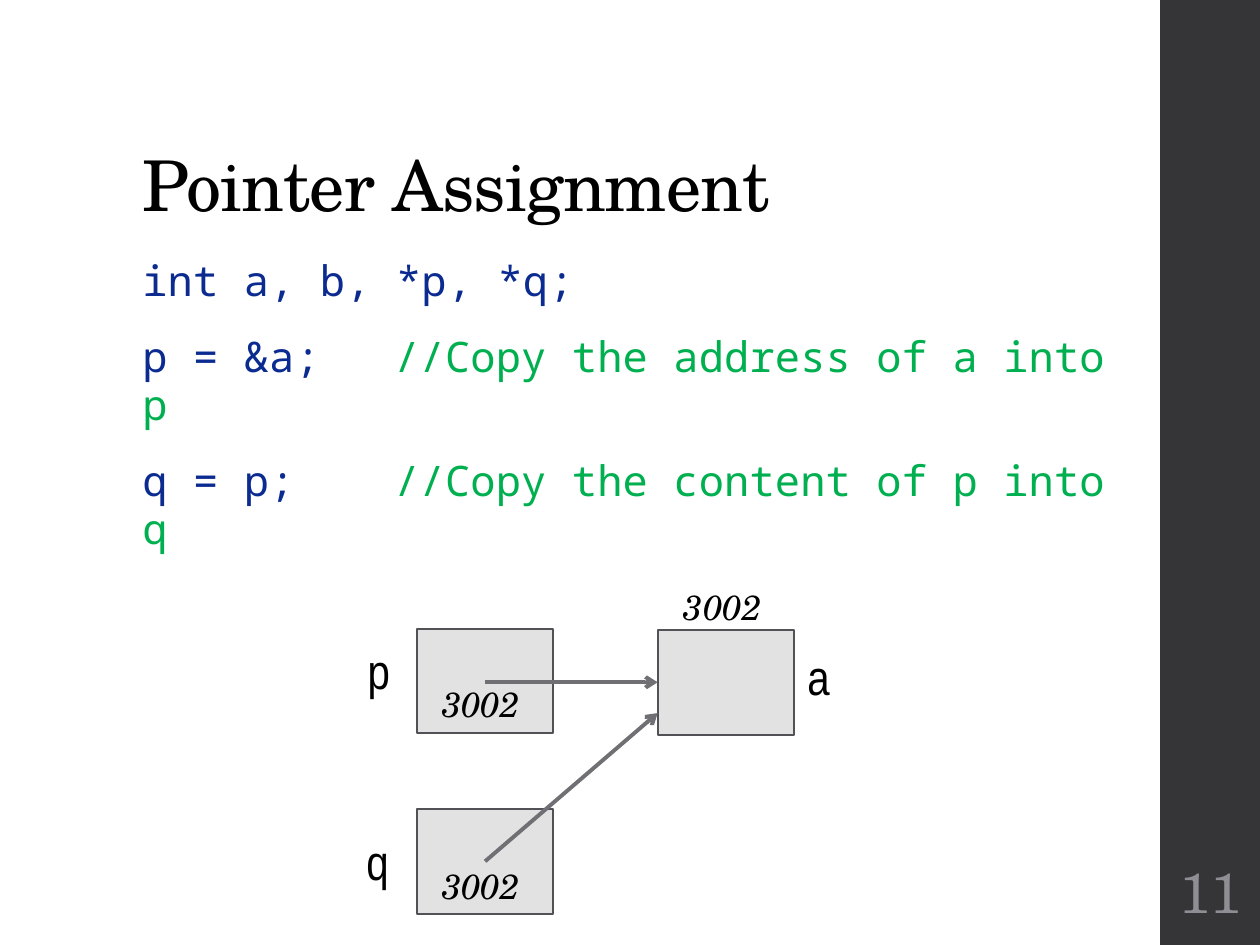
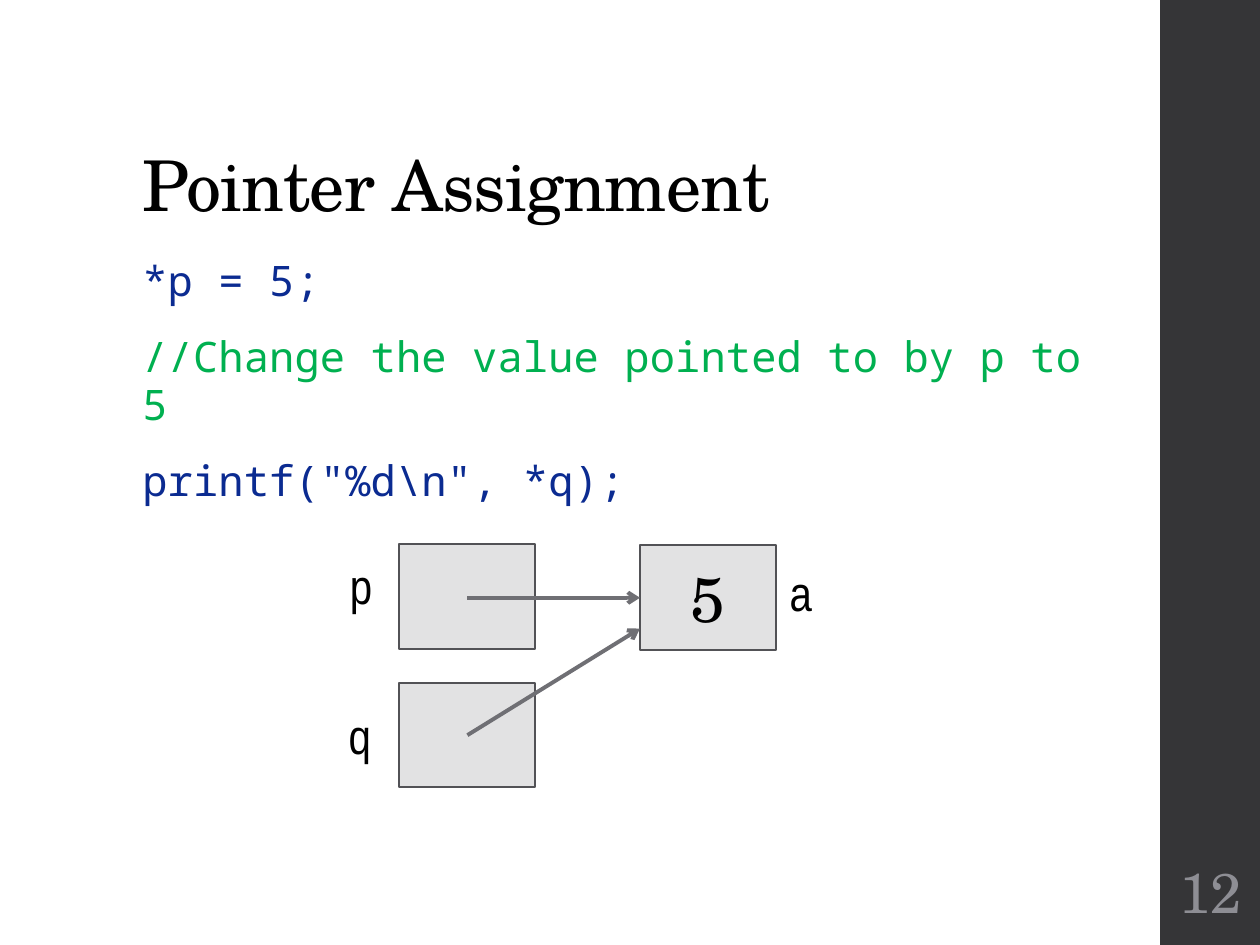
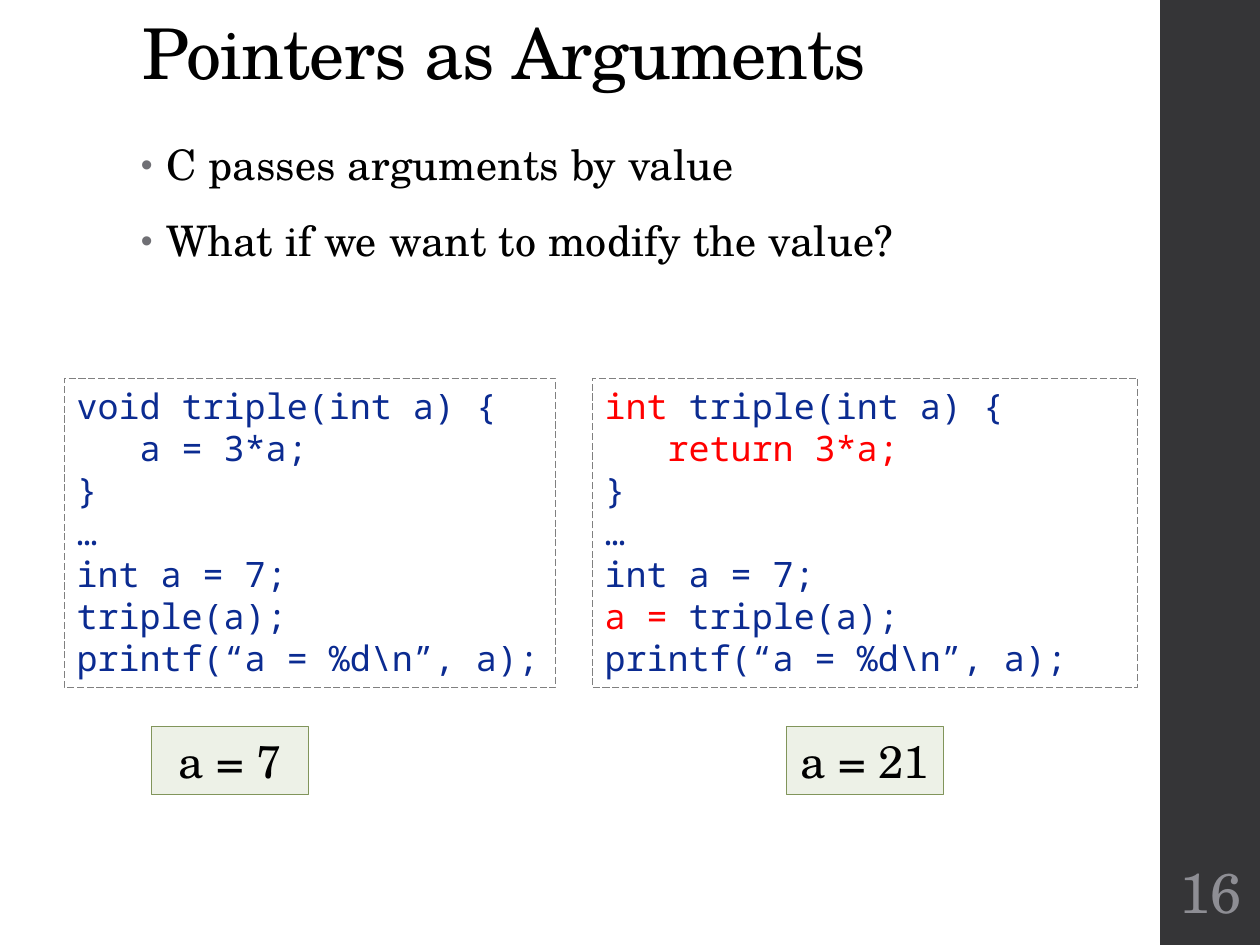
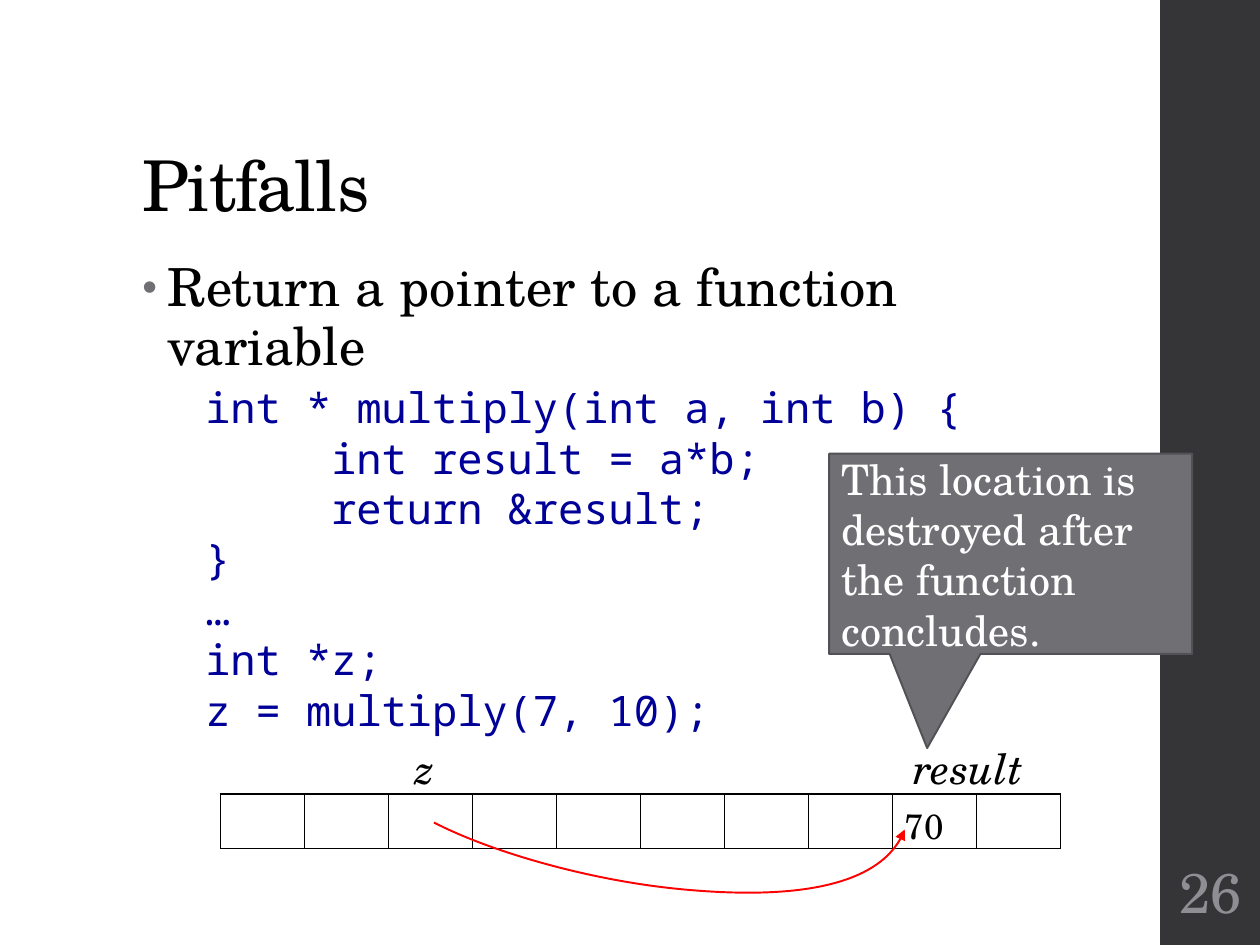
from dataclasses import dataclass, replace
from typing import Optional

from lxml import etree
from pptx import Presentation
from pptx.dml.color import RGBColor
from pptx.enum import dml, shapes, text
from pptx.oxml import ns
from pptx.util import Pt

HUES = {
    "black": "000000", "white": "FFFFFF", "band": "353537", "number": "8E8E94",
    "code": "0B2B91", "navy": "000099", "note": "00B050", "red": "FF0000",
    "box": "E2E2E3", "edge": "525256", "arrow": "6F6F74", "dash": "808080",
    "pale": "EDF1E7", "olive": "81955B",
}
SERIF, MONO, NARROW = "TeX Gyre Schola", "Noto Sans Mono", "Arial Narrow"
LEFT, CENTER = text.PP_ALIGN.LEFT, text.PP_ALIGN.CENTER
TOP, MIDDLE, BOTTOM = (text.MSO_ANCHOR.TOP, text.MSO_ANCHOR.MIDDLE,
                       text.MSO_ANCHOR.BOTTOM)


@dataclass(frozen=True)
class Area:
    x: float
    y: float
    w: float
    h: float

    def lengths(self) -> tuple:
        return Pt(self.x), Pt(self.y), Pt(self.w), Pt(self.h)


@dataclass(frozen=True)
class Style:
    font: str
    size: float
    hue: str = "black"
    italic: bool = False
    track: int = 0              # hundredths of a point
    align: int = LEFT
    line: Optional[float] = None
    before: float = 0
    after: float = 0
    bullet: bool = False
    tab: float = 0


@dataclass(frozen=True)
class Look:
    fill: Optional[str] = None
    line: Optional[str] = None
    width: float = 1.1
    dashed: bool = False


TITLE = Style(SERIF, 40, track=-50, line=0.9)
BODY = Style(MONO, 24, "code", track=10, line=0.95, before=14, after=2, tab=144)
LIST = replace(BODY, font=SERIF, hue="black", bullet=True, tab=0)
NUMBER = Style(SERIF, 32, "number", align=CENTER)
LABEL = Style(NARROW, 28)
ADDRESS = Style(SERIF, 20, italic=True)
VALUE = Style(SERIF, 36, align=CENTER)
CODE = Style(MONO, 20, "code", tab=36)
OUTPUT = Style(SERIF, 26, align=CENTER)
NAME = Style(SERIF, 24, italic=True)

CELL = Look("box", "edge")
LISTING = Look(None, "dash", 0.5, True)
RESULT = Look("pale", "olive", 0.75)


# Text: a paragraph is a string, or a list of strings and (string, hue) pairs

def color(hue: str) -> RGBColor:
    return RGBColor.from_string(HUES[hue])


def add(parent, tag: str, **attrs):
    node = etree.SubElement(parent, ns.qn(tag))
    for key, val in attrs.items():
        node.set(key, str(val))
    return node


def write(frame, paras: list, style: Style, anchor=TOP, grow: bool = False) -> None:
    frame.word_wrap = True
    frame.vertical_anchor = anchor
    frame.auto_size = (text.MSO_AUTO_SIZE.SHAPE_TO_FIT_TEXT if grow
                       else text.MSO_AUTO_SIZE.NONE)
    for i, parts in enumerate(paras):
        para = frame.add_paragraph() if i else frame.paragraphs[0]
        format_para(para, style)
        for part in [parts] if isinstance(parts, str) else parts:
            words, hue = (part, style.hue) if isinstance(part, str) else part
            run = para.add_run()
            run.text = words
            format_run(run, style, hue)


def format_para(para, style: Style) -> None:
    para.alignment = style.align
    para.space_before, para.space_after = Pt(style.before), Pt(style.after)
    if style.line:
        para.line_spacing = style.line
    props = para._p.get_or_add_pPr()
    if style.bullet:
        props.set("marL", str(Pt(14.4)))
        props.set("indent", str(-Pt(14.4)))
        add(add(props, "a:buClr"), "a:srgbClr", val=HUES["arrow"])
        add(props, "a:buSzPct", val=80000)
        add(props, "a:buFont", typeface="Arial")
        add(props, "a:buChar", char="•")
    if style.tab:
        add(add(props, "a:tabLst"), "a:tab", pos=Pt(style.tab), algn="l")


def format_run(run, style: Style, hue: str) -> None:
    font = run.font
    font.name, font.size, font.italic = style.font, Pt(style.size), style.italic
    font.color.rgb = color(hue)
    if style.track:
        run._r.get_or_add_rPr().set("spc", str(style.track))


def label(slide, area: Area, paras: list, style: Style, anchor=TOP,
          grow: bool = True):
    box = slide.shapes.add_textbox(*area.lengths())
    write(box.text_frame, paras, style, anchor, grow)
    return box


# Shapes and lines

def paint(shape, look: Look) -> None:
    shape.shadow.inherit = False
    if look.fill:
        shape.fill.solid()
        shape.fill.fore_color.rgb = color(look.fill)
    else:
        shape.fill.background()
    if look.line:
        shape.line.color.rgb = color(look.line)
        shape.line.width = Pt(look.width)
    else:
        shape.line.fill.background()
    if look.dashed:
        shape.line.dash_style = dml.MSO_LINE.LONG_DASH


def block(slide, area: Area, look: Look, kind=shapes.MSO_SHAPE.RECTANGLE):
    shape = slide.shapes.add_shape(kind, *area.lengths())
    paint(shape, look)
    return shape


def tip(shape, kind: str) -> None:
    add(shape._element.spPr.find(ns.qn("a:ln")), "a:tailEnd", type=kind)


def arrow(slide, x1: float, y1: float, x2: float, y2: float):
    line = slide.shapes.add_connector(
        shapes.MSO_CONNECTOR.STRAIGHT, Pt(x1), Pt(y1), Pt(x2), Pt(y2))
    line.line.color.rgb = color("arrow")
    line.line.width = Pt(2.25)
    tip(line, "arrow")
    add(line._element.spPr, "a:effectLst")
    return line


def curve(slide, points: list, look: Look):
    """Draw cubic curves: a start, then two handles and an end for each."""
    pen = slide.shapes.build_freeform(*points[0], scale=Pt(1))
    pen.add_line_segments(points[1:], close=False)
    shape = pen.convert_to_shape()
    paint(shape, look)
    steps = shape._element.spPr.findall(".//" + ns.qn("a:lnTo"))
    outline = steps[0].getparent()
    for i in range(0, len(steps), 3):
        bend = add(outline, "a:cubicBezTo")
        for step in steps[i:i + 3]:
            bend.append(step[0])
            outline.remove(step)
    return shape


# Shared slide frame

def start(deck, title: str, number: int, top: float = 28.8):
    slide = deck.slides.add_slide(deck.slide_layouts[6])
    block(slide, Area(663, 0, 57, 540), Look("band"))
    label(slide, Area(74.2, top, 572.4, 104.4), [title], TITLE, BOTTOM, False)
    box = label(slide, Area(664.6, 486, 54, 46.8), [str(number)], NUMBER,
                MIDDLE, False)
    box.text_frame.margin_left = box.text_frame.margin_right = Pt(2.16)
    return slide


def body(slide, area: Area, paras: list, style: Style) -> None:
    label(slide, area, paras, style, grow=False)


# Memory diagram: pointers p and q, both aimed at variable a

def memory(slide, x: float, y: float, drop: float, value: str = "",
           address: str = "") -> None:
    w, h = 77.8, 59.8
    ax, ay, qy = x + 137.5, y + 0.7, y + drop
    target, *_ = [block(slide, Area(left, top, w, h), CELL)
                  for left, top in ((ax, ay), (x, y), (x, qy))]
    if value:
        write(target.text_frame, [value], VALUE, MIDDLE)
    for name, left, top in (("p", x - 35.3, y + 3.2), ("q", x - 36, qy + 9.4),
                            ("a", ax + 78.5, ay + 6.1)):
        label(slide, Area(left, top, 36, 41), [name], LABEL)
    mid = x + w / 2
    arrow(slide, mid, ay + h / 2, ax, ay + h / 2).end_connect(target, 1)
    arrow(slide, mid, qy + h / 2, ax, ay + 47.5)
    if address:
        for left, top in ((ax + 7.9, ay - 28.8), (x + 7.2, y + 27.4),
                          (x + 7.2, qy + 27.9)):
            label(slide, Area(left, top, 90, 31.7), [address], ADDRESS)


# Row of memory cells

def cells(slide, area: Area, count: int, filled: dict) -> None:
    frame = slide.shapes.add_table(1, count, *area.lengths())
    table = frame.table
    table.first_row = table.horz_banding = False
    for i, cell in enumerate(table.rows[0].cells):
        table.columns[i].width = Pt(area.w / count)
        props = cell._tc.get_or_add_tcPr()
        for side in "LRTB":
            edge = add(props, "a:ln" + side, w=Pt(1))
            add(add(edge, "a:solidFill"), "a:srgbClr", val=HUES["black"])
        cell.fill.background()
        if i in filled:
            cell.text_frame.text = filled[i]
            format_run(cell.text_frame.paragraphs[0].runs[0],
                       Style(SERIF, 20), "black")


# Slides

def assign(deck) -> None:
    slide = start(deck, "Pointer Assignment", 11)
    body(slide, Area(74.2, 144, 572.4, 150.5), [
        "int a, b, *p, *q;",
        ["p = &a;\t", ("//Copy the address of a into p", "note")],
        ["q = p;\t", ("//Copy the content of p into q", "note")],
    ], BODY)
    memory(slide, 238.3, 359.3, 103, address="3002")


def change(deck) -> None:
    slide = start(deck, "Pointer Assignment", 12)
    body(slide, Area(74.2, 144, 555.1, 342.7), [
        "*p = 5;",
        [("//Change the value pointed to by p to 5", "note")],
        'printf("%d\\n", *q);',
    ], BODY)
    memory(slide, 228.2, 311, 79.2, value="5")


def passing(deck) -> None:
    slide = start(deck, "Pointers as Arguments", 16, -46.8)
    body(slide, Area(73.4, 77.8, 507.6, 342.7), [
        "C passes arguments by value",
        "What if we want to modify the value?",
    ], LIST)
    tail = ["}", "…", "int a = 7;"]
    show = "printf(“a = %d\\n”, a);"
    void = ["void triple(int a) {", "\ta = 3*a;", *tail, "triple(a);", show]
    back = [[("int ", "red"), "triple(int a) {"],
            ["\t", ("return 3*a;", "red")], *tail,
            [("a =", "red"), " triple(a);"], show]
    for x, w, lines, left, answer in (
            (36.7, 280.8, void, 86.4, "a = 7"),
            (338.4, 311.8, back, 449.3, "a = 21")):
        listing = block(slide, Area(x, 216, w, 177), LISTING)
        write(listing.text_frame, lines, CODE, grow=True)
        result = block(slide, Area(left, 415.2, 90, 39), RESULT)
        write(result.text_frame, [answer], OUTPUT, grow=True)


def pitfall(deck) -> None:
    slide = start(deck, "Pitfalls", 26)
    body(slide, Area(74.2, 144, 507.6, 342.7),
         ["Return a pointer to a function variable"], replace(LIST, size=30))
    label(slide, Area(110.2, 214.6, 450, 211), [
        "int * multiply(int a, int b) {", "\tint result = a*b;",
        "\treturn &result;", "}", "…", "int *z;", "z = multiply(7, 10);",
    ], Style(MONO, 24, "navy", tab=72))
    cells(slide, Area(126, 453.6, 480, 29.5), 10, {8: "70"})
    for name, x in (("result", 514.8), ("z", 230.4)):
        label(slide, Area(x, 421, 90, 36), [name], NAME)
    link = curve(slide, [(247.7, 470.2), (280.8, 486.7), (337, 502.6),
                         (388.1, 508.3), (439.2, 513.4), (502.6, 511.2),
                         (517, 474.5)], Look(None, "red"))
    tip(link, "triangle")
    warning = block(slide, Area(473.8, 259.2, 207.4, 114.5),
                    Look("arrow", "edge"),
                    shapes.MSO_SHAPE.RECTANGULAR_CALLOUT)
    warning.adjustments[0], warning.adjustments[1] = -0.23, 0.97
    write(warning.text_frame,
          ["This location is destroyed after the function concludes."],
          Style(SERIF, 24, "white"), MIDDLE)


def main() -> None:
    deck = Presentation()
    deck.slide_width, deck.slide_height = Pt(720), Pt(540)
    for build in (assign, change, passing, pitfall):
        build(deck)
    deck.save("out.pptx")


if __name__ == "__main__":
    main()
